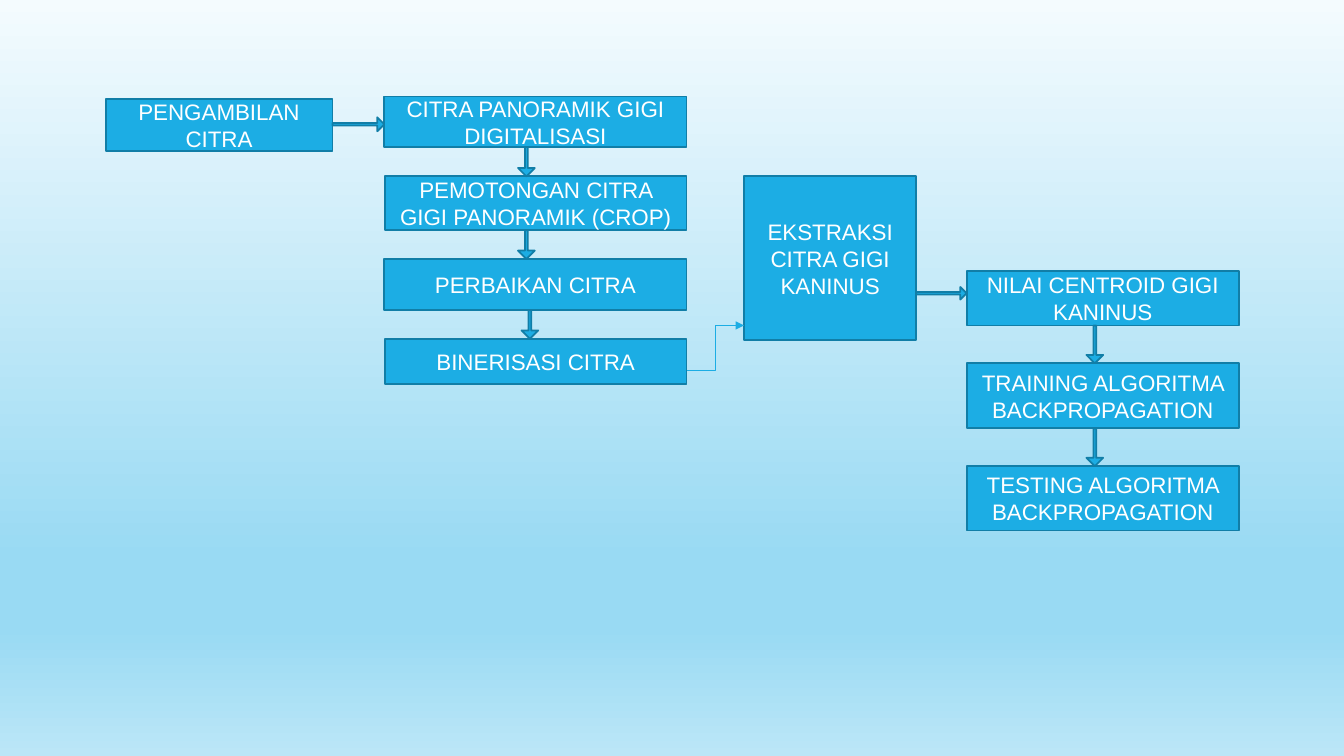
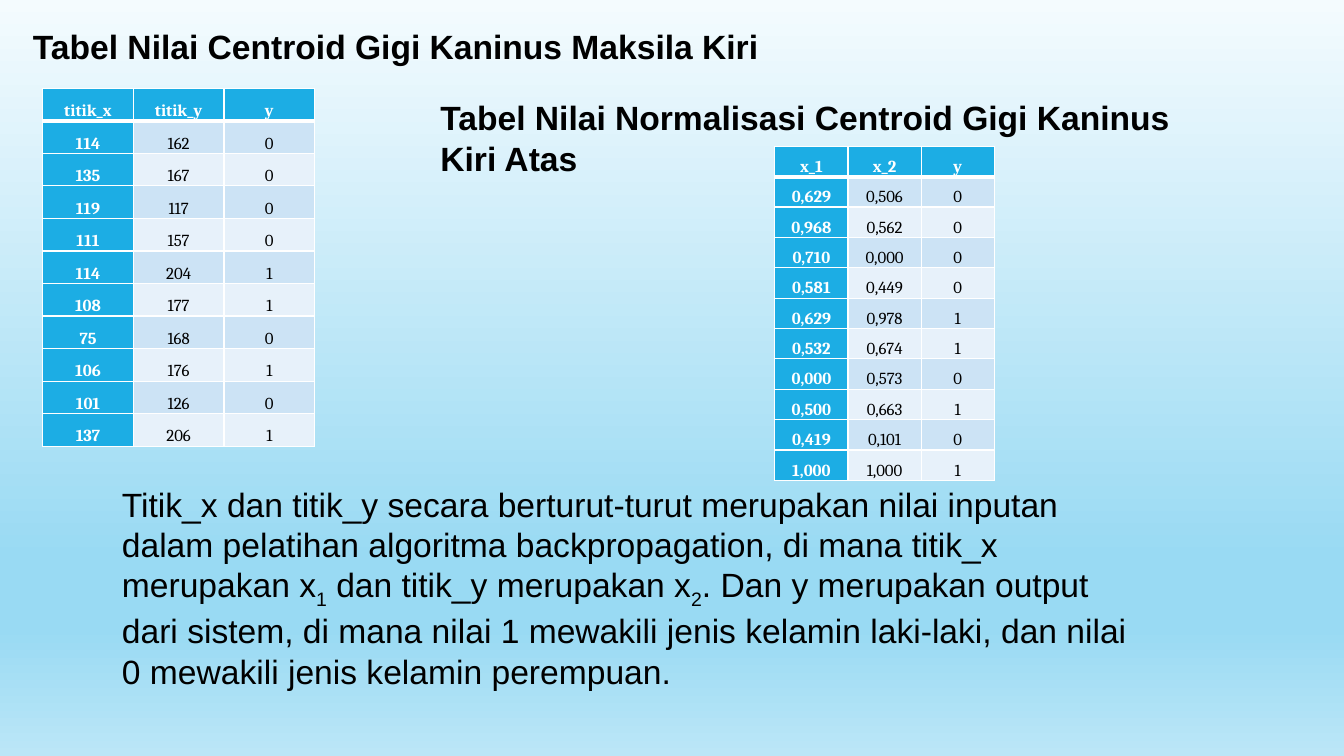
import dataclasses

import lxml.etree
import pptx
import pptx.dml.color
import pptx.enum.shapes
import pptx.enum.text
import pptx.oxml.ns
import pptx.util

Pt = pptx.util.Pt
qn = pptx.oxml.ns.qn
ShapeKind = pptx.enum.shapes.MSO_SHAPE
Align = pptx.enum.text.PP_ALIGN
Anchor = pptx.enum.text.MSO_ANCHOR


@dataclasses.dataclass(frozen=True)
class Theme:
    accent: str = "1CADE4"
    outline: str = "117EA7"
    light: str = "FFFFFF"
    dark: str = "000000"
    bands: tuple = ("CCE3F5", "E7F1FA")
    background: tuple = ((0, "F4FBFE"), (74, "99DAF3"), (83, "99DAF3"), (100, "BBE6F7"))
    text_font: str = "Arial"
    table_font: str = "Cambria"
    text_size: float = 24
    box_size: float = 16
    table_size: float = 12
    outline_width: float = 1.25
    connector_width: float = 0.75
    grid_width: float = 1
    header_rule_width: float = 3


THEME = Theme()

CENTROIDS = [
    ("titik_x", "titik_y", "y"),
    ("114", "162", "0"),
    ("135", "167", "0"),
    ("119", "117", "0"),
    ("111", "157", "0"),
    ("114", "204", "1"),
    ("108", "177", "1"),
    ("75", "168", "0"),
    ("106", "176", "1"),
    ("101", "126", "0"),
    ("137", "206", "1"),
]

NORMALISED = [
    ("x_1", "x_2", "y"),
    ("0,629", "0,506", "0"),
    ("0,968", "0,562", "0"),
    ("0,710", "0,000", "0"),
    ("0,581", "0,449", "0"),
    ("0,629", "0,978", "1"),
    ("0,532", "0,674", "1"),
    ("0,000", "0,573", "0"),
    ("0,500", "0,663", "1"),
    ("0,419", "0,101", "0"),
    ("1,000", "1,000", "1"),
]

# Text pieces, each with a flag for subscript
EXPLANATION = [
    ("Titik_x dan titik_y secara berturut-turut merupakan nilai inputan dalam pelatihan "
     "algoritma backpropagation, di mana titik_x merupakan x", False),
    ("1", True),
    (" dan titik_y merupakan x", False),
    ("2", True),
    (". Dan y merupakan output dari sistem, di mana nilai 1 mewakili jenis kelamin "
     "laki-laki, dan nilai 0 mewakili jenis kelamin perempuan.", False),
]


def rgb(value):
    return pptx.dml.color.RGBColor.from_string(value)


def add_xml(parent, tag, **attributes):
    return lxml.etree.SubElement(parent, qn(tag), attributes)


def style_font(font, name, size, color, bold=False):
    font.name = name
    font.size = Pt(size)
    font.color.rgb = rgb(color)
    font.bold = bold


def set_background(master):
    """Give the master the vertical gradient that every slide inherits."""
    fill = master.background.fill
    fill.gradient()
    fill.gradient_angle = 270
    stops = master.element.find(".//" + qn("a:gsLst"))
    for stop in list(stops):
        stops.remove(stop)
    for percent, color in THEME.background:
        stop = add_xml(stops, "a:gs", pos=str(percent * 1000))
        add_xml(stop, "a:srgbClr", val=color)


# Flow chart parts
def add_block(slide, kind, left, top, width, height):
    shape = slide.shapes.add_shape(kind, Pt(left), Pt(top), Pt(width), Pt(height))
    shape.shadow.inherit = False
    shape.fill.solid()
    shape.fill.fore_color.rgb = rgb(THEME.accent)
    shape.line.color.rgb = rgb(THEME.outline)
    shape.line.width = Pt(THEME.outline_width)
    return shape


def add_step(slide, text, left, top, width, height):
    shape = add_block(slide, ShapeKind.RECTANGLE, left, top, width, height)
    frame = shape.text_frame
    frame.word_wrap = True
    frame.vertical_anchor = Anchor.MIDDLE
    frame.text = text
    paragraph = frame.paragraphs[0]
    paragraph.alignment = Align.CENTER
    style_font(paragraph.runs[0].font, THEME.text_font, THEME.box_size, THEME.light)
    return shape


def add_right_arrow(slide, source, target, center, thickness):
    start = (source.left + source.width).pt if hasattr(source.left + source.width, "pt") \
        else pptx.util.Emu(source.left + source.width).pt
    arrow = add_block(slide, ShapeKind.RIGHT_ARROW, start, center - thickness / 2,
                      target.left.pt - start, thickness)
    arrow.adjustments[0] = 0.19


def add_down_arrow(slide, source, target, center, thickness=12):
    start = pptx.util.Emu(source.top + source.height).pt
    arrow = add_block(slide, ShapeKind.DOWN_ARROW, center - thickness / 2, start,
                      thickness, target.top.pt - start)
    arrow.adjustments[0] = 0.16


def add_elbow_arrow(slide, start, end):
    connector = slide.shapes.add_connector(
        pptx.enum.shapes.MSO_CONNECTOR.ELBOW, *(Pt(value) for value in start + end))
    connector.line.color.rgb = rgb(THEME.accent)
    connector.line.width = Pt(THEME.connector_width)
    properties = connector.element.spPr
    add_xml(properties.find(qn("a:ln")), "a:tailEnd", type="triangle")
    add_xml(properties, "a:effectLst")


# Text and table parts
def add_text(slide, pieces, left, top, width, height, bold=False, anchor=Anchor.TOP):
    box = slide.shapes.add_textbox(Pt(left), Pt(top), Pt(width), Pt(height))
    frame = box.text_frame
    frame.word_wrap = True
    frame.auto_size = pptx.enum.text.MSO_AUTO_SIZE.SHAPE_TO_FIT_TEXT
    frame.vertical_anchor = anchor
    for text, subscript in pieces:
        run = frame.paragraphs[0].add_run()
        run.text = text
        style_font(run.font, THEME.text_font, THEME.text_size, THEME.dark, bold)
        if subscript:
            run._r.get_or_add_rPr().set("baseline", "-25000")


def add_heading(slide, text, left, top, width, height):
    add_text(slide, [(text, False)], left, top, width, height, True, Anchor.MIDDLE)


def set_borders(cell, top, bottom):
    properties = cell._tc.get_or_add_tcPr()
    widths = {"L": THEME.grid_width, "R": THEME.grid_width, "T": top, "B": bottom}
    for side, width in widths.items():
        line = add_xml(properties, "a:ln" + side, w=str(Pt(width)))
        add_xml(add_xml(line, "a:solidFill"), "a:srgbClr", val=THEME.light)


def format_cell(cell, text, row, column):
    emphasised = row == 0 or column == 0
    set_borders(cell,
                THEME.header_rule_width if row == 1 else THEME.grid_width,
                THEME.header_rule_width if row == 0 else THEME.grid_width)
    cell.fill.solid()
    cell.fill.fore_color.rgb = rgb(THEME.accent if emphasised else THEME.bands[(row - 1) % 2])
    cell.margin_left = cell.margin_right = Pt(5)
    cell.margin_top = cell.margin_bottom = Pt(0)
    cell.vertical_anchor = Anchor.BOTTOM
    cell.text_frame.text = text
    paragraph = cell.text_frame.paragraphs[0]
    paragraph.alignment = Align.CENTER
    paragraph.line_spacing = 1.5
    style_font(paragraph.runs[0].font, THEME.table_font, THEME.table_size,
               THEME.light if emphasised else THEME.dark, emphasised)


def add_value_table(slide, values, left, top, column_width, row_height):
    row_count, column_count = len(values), len(values[0])
    table = slide.shapes.add_table(
        row_count, column_count, Pt(left), Pt(top),
        Pt(column_width * column_count), Pt(row_height * row_count)).table
    table.first_col = True
    for column in table.columns:
        column.width = Pt(column_width)
    for row, texts in enumerate(values):
        table.rows[row].height = Pt(row_height)
        for column, text in enumerate(texts):
            format_cell(table.cell(row, column), text, row, column)


# Slides
def build_flow_slide(slide):
    capture = add_step(slide, "PENGAMBILAN CITRA", 75.5, 70.5, 162, 37.5)
    preparation = [add_step(slide, text, left, top, 490.5 - left, height)
                   for text, left, top, height in (
                       ("CITRA PANORAMIK GIGI DIGITALISASI", 274.5, 69, 36),
                       ("PEMOTONGAN CITRA GIGI PANORAMIK (CROP)", 275, 126, 38.5),
                       ("PERBAIKAN CITRA", 274.5, 185, 36.5),
                       ("BINERISASI CITRA", 275, 242, 32.5))]
    extraction = add_step(slide, "EKSTRAKSI CITRA GIGI KANINUS", 531.5, 126, 123, 117)
    learning = [add_step(slide, text, 690.5, top, 194.5, height)
                for text, top, height in (
                    ("NILAI CENTROID GIGI KANINUS", 193.5, 39),
                    ("TRAINING ALGORITMA BACKPROPAGATION", 259.5, 46.5),
                    ("TESTING ALGORITMA BACKPROPAGATION", 333, 46))]

    # Arrows between steps
    add_right_arrow(slide, capture, preparation[0], 88.75, 10)
    add_right_arrow(slide, extraction, learning[0], 209.5, 9)
    for source, target, center in zip(preparation, preparation[1:], (376, 376, 378.5)):
        add_down_arrow(slide, source, target, center)
    for source, target in zip(learning, learning[1:]):
        add_down_arrow(slide, source, target, 782)
    add_elbow_arrow(slide, (490.5, 264.5), (531.5, 232.5))


def build_table_slide(slide):
    add_value_table(slide, CENTROIDS, 30.5, 63, 64.75, 23.25)
    add_heading(slide, "Tabel Nilai Centroid Gigi Kaninus Maksila Kiri", 16.5, 14.5, 537, 36.5)
    add_text(slide, EXPLANATION, 80, 342, 735, 152.5)
    add_value_table(slide, NORMALISED, 553.5, 104.5, 52.25, 21.7)
    add_heading(slide, "Tabel Nilai Normalisasi Centroid Gigi Kaninus Kiri Atas",
                307.5, 65.5, 550, 65.5)


def main():
    presentation = pptx.Presentation()
    presentation.slide_width, presentation.slide_height = Pt(960), Pt(540)
    set_background(presentation.slide_master)
    blank_layout = presentation.slide_layouts[6]
    for build in (build_flow_slide, build_table_slide):
        build(presentation.slides.add_slide(blank_layout))
    presentation.save("out.pptx")


if __name__ == "__main__":
    main()
